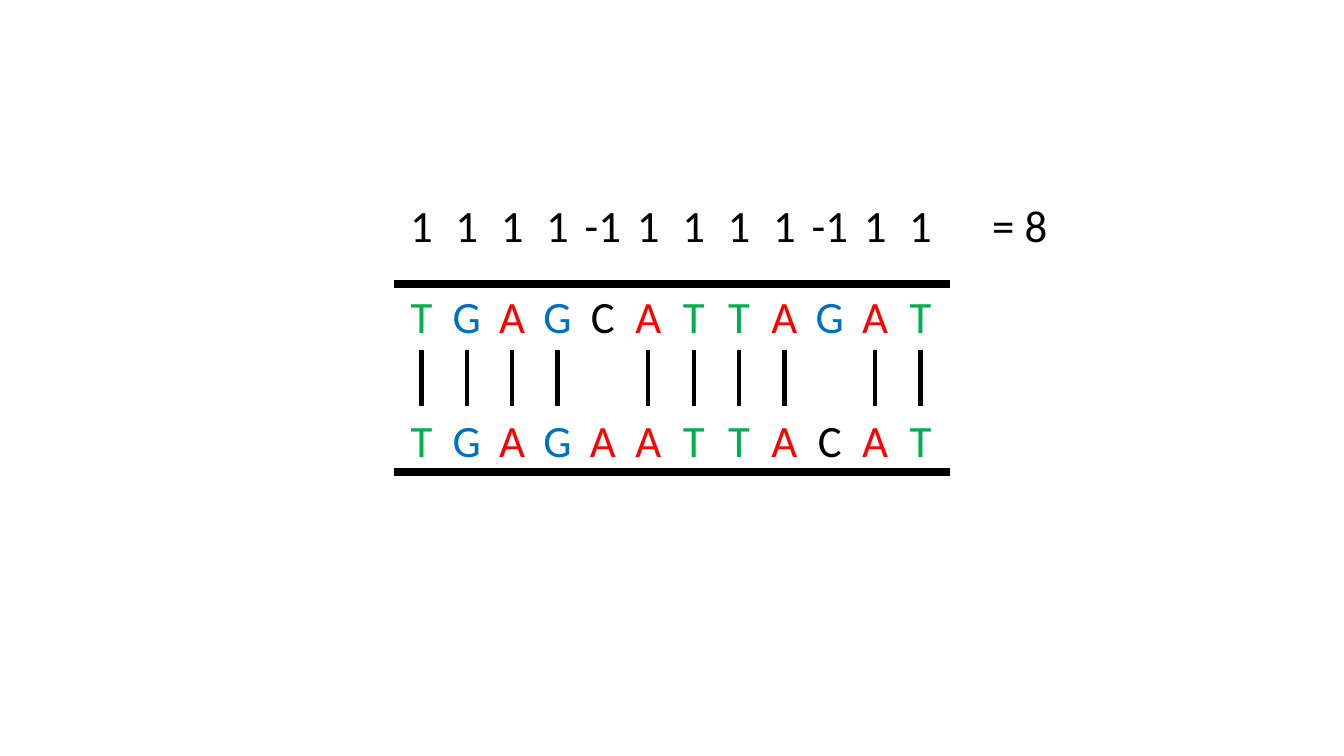
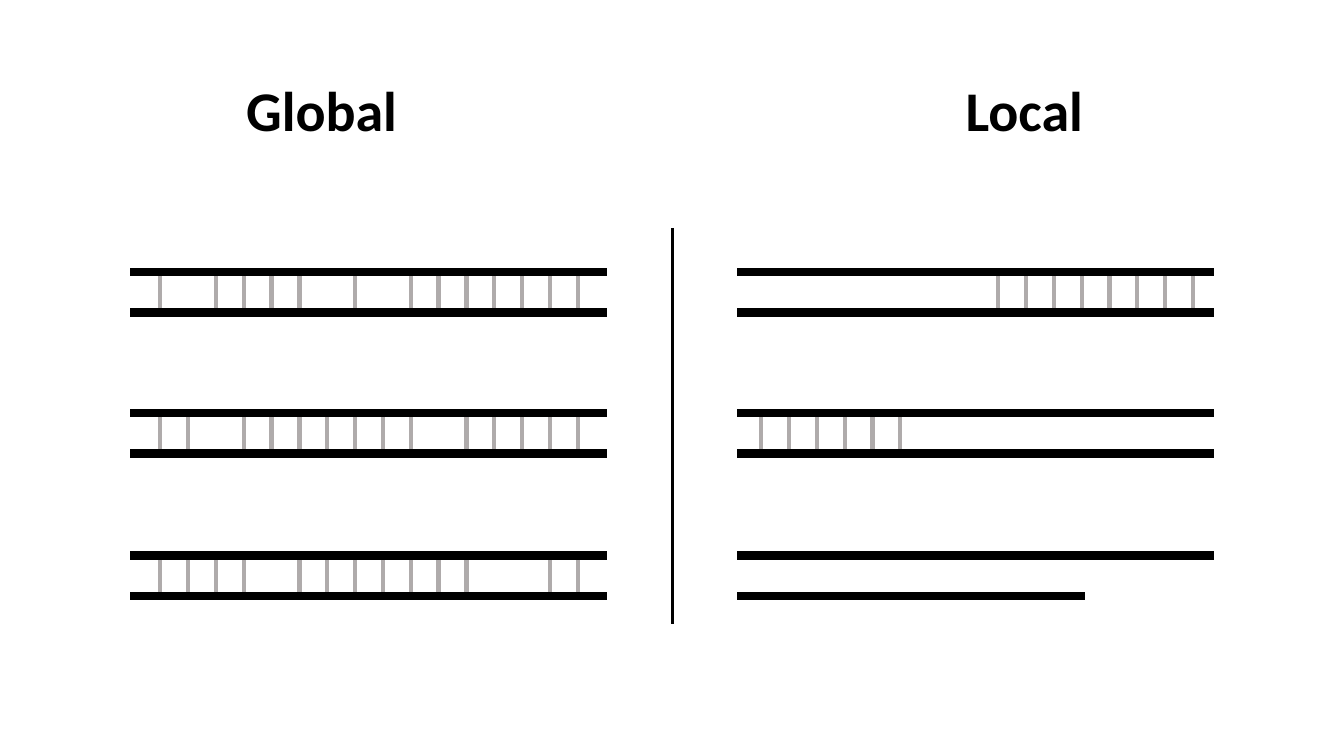
from lxml import etree
from pptx import Presentation
from pptx import util as u
from pptx.dml import color
from pptx.enum import shapes, text
from pptx.oxml import ns

INK, RUNG = "000000", "AFABAB"
GREEN, BLUE, RED = "00B050", "0070C0", "FF0000"
BASES = {"T": GREEN, "G": BLUE, "A": RED}
FONT = "Calibri"
RAIL, BOND, THIN = 6, 3, 1.5
STEP = 0.45
SLOT = 0.276


def rgb(code):
    """Turn a hex string into a colour."""
    return color.RGBColor.from_string(code)


def line(slide, x1, y1, x2, y2, width, code=INK):
    """Draw a straight line without a shadow."""
    rule = slide.shapes.add_connector(
        shapes.MSO_CONNECTOR.STRAIGHT, *map(u.Inches, (x1, y1, x2, y2)))
    rule.line.width = u.Pt(width)
    rule.line.color.rgb = rgb(code)
    etree.SubElement(rule._element.spPr, ns.qn("a:effectLst"))


def label(slide, box, runs, size, bold=False, align="LEFT", stops=()):
    """Place one line of coloured runs, with centred tab stops if given."""
    frame = slide.shapes.add_textbox(*map(u.Inches, box)).text_frame
    frame.word_wrap = True
    frame.margin_left = frame.margin_right = 0
    para = frame.paragraphs[0]
    para.alignment = getattr(text.PP_ALIGN, align)
    if stops:
        tabs = etree.SubElement(para._p.get_or_add_pPr(), ns.qn("a:tabLst"))
        for stop in stops:
            etree.SubElement(tabs, ns.qn("a:tab"), pos=str(u.Inches(stop)), algn="ctr")
    for words, code in runs:
        run = para.add_run()
        run.text = words
        run.font.name, run.font.size, run.font.bold = FONT, u.Pt(size), bold
        run.font.color.rgb = rgb(code)


def row(slide, box, cells, first):
    """Spread cells over even columns, coloured by base."""
    stops = [first + STEP * i for i in range(len(cells))]
    runs = [("\t" + cell, BASES.get(cell, INK)) for cell in cells]
    label(slide, box, runs, 32, stops=stops)


def score(slide, left, top, width):
    """Show two aligned strands with their bonds and score."""
    upper, lower = "TGAGCATTAGAT", "TGAGAATTACAT"
    first = 0.27
    pairs = [a == b for a, b in zip(upper, lower)]
    marks = ["1" if same else "-1" for same in pairs]
    for y, cells in ((0, marks), (0.91, upper), (2.14, lower)):
        row(slide, (left, top + y, width, 0.64), cells, first)
    for y in (0.91, 2.77):
        line(slide, left, top + y, left + width, top + y, RAIL)
    for i, same in enumerate(pairs):
        if same:
            x = left + first + STEP * i
            line(slide, x, top + 1.56, x, top + 2.12, BOND)
    label(slide, (left + width + 0.42, top, 0.8, 0.64), [("= 8", INK)], 32)


def ladder(slide, left, top, width, first, marks, short=0):
    """Draw two strands with a rung at each marked slot."""
    low = top + 0.4
    for i, mark in enumerate(marks):
        if mark == "|":
            x = left + first + SLOT * i
            line(slide, x, top, x, low, BOND, RUNG)
    line(slide, left, top, left + width, top, RAIL)
    line(slide, left, low, left + width - short, low, RAIL)


def panel(slide, left, name, centre, rows):
    """Draw a heading above three ladders."""
    label(slide, (centre - 1.5, 0.7, 3, 0.77), [(name, INK)], 40, True, "CENTER")
    for top, parts in zip((2.7, 4.1, 5.51), rows):
        ladder(slide, left, top, 4.73, *parts)


def compare(slide):
    """Set global and local alignment side by side."""
    panel(slide, 1.29, "Global", 3.19, [
        (0.3, "|.||||.|.|||||||"),
        (0.3, "||.|||||||.|||||"),
        (0.3, "||||.|||||||..||")])
    panel(slide, 7.31, "Local", 10.16, [
        (2.59, "|" * 8), (0.24, "|" * 6), (0, "", 1.28)])
    line(slide, 6.67, 2.26, 6.67, 6.19, THIN)


def main():
    """Build and save both slides."""
    deck = Presentation()
    deck.slide_width, deck.slide_height = u.Inches(13.33), u.Inches(7.5)
    blank = deck.slide_layouts[6]
    score(deck.slides.add_slide(blank), 3.91, 1.91, 5.51)
    compare(deck.slides.add_slide(blank))
    deck.save("out.pptx")


if __name__ == "__main__":
    main()
